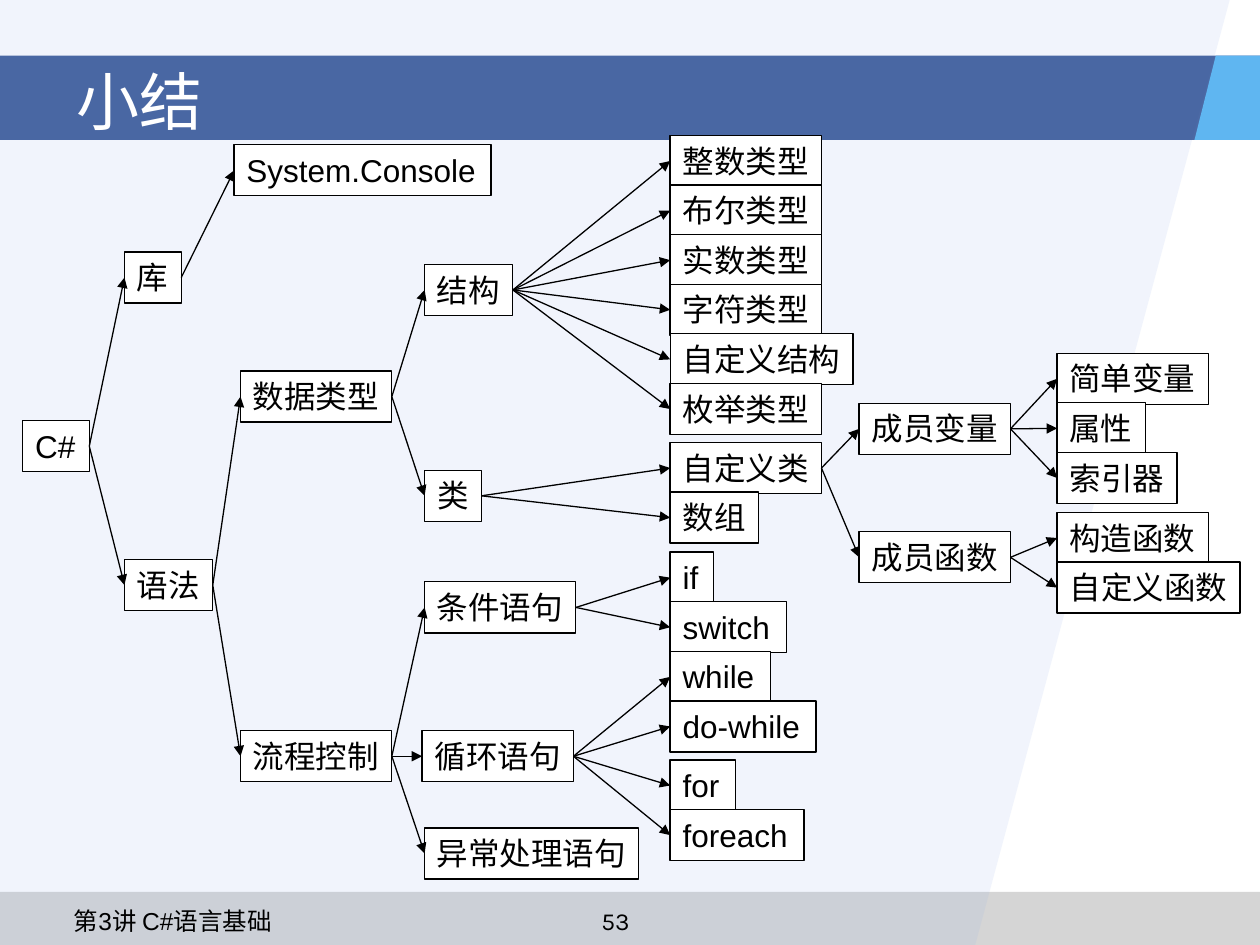
from dataclasses import dataclass

from lxml import etree
from pptx import Presentation
from pptx.dml.color import RGBColor
from pptx.enum.shapes import MSO_CONNECTOR, MSO_SHAPE
from pptx.enum.text import MSO_ANCHOR, MSO_AUTO_SIZE, PP_ALIGN
from pptx.oxml.ns import qn
from pptx.util import Cm, Pt

RECT = MSO_SHAPE.RECTANGLE
STRAIGHT = MSO_CONNECTOR.STRAIGHT
TOP, MIDDLE = MSO_ANCHOR.TOP, MSO_ANCHOR.MIDDLE
LEFT, CENTER = PP_ALIGN.LEFT, PP_ALIGN.CENTER
GROW = MSO_AUTO_SIZE.SHAPE_TO_FIT_TEXT

BLACK, WHITE = "000000", "FFFFFF"
SLIDE_W, SLIDE_H = 25.4, 19.05
BAND_TOP, BAND_BOTTOM = 1.12, 2.82
BOX_H, ROW = 1.03, 1.0
LEFT_SITE, RIGHT_SITE = 1, 3
LEAF_X, MEMBER_X, DETAIL_X = 13.51, 17.32, 21.31


@dataclass
class Topic:
    text: str
    left: float
    top: float
    width: float = 0
    children: tuple = ()

    def box_width(self) -> float:
        """Chinese labels are as wide as their 18 pt characters plus insets."""
        return self.width or 0.51 + 0.635 * len(self.text)


def stack(left: float, top: float, *labels: str) -> tuple:
    """Topics one below the other, without children."""
    return tuple(Topic(label, left, top + i * ROW, LATIN_WIDTHS.get(label, 0))
                 for i, label in enumerate(labels))


def color(hex_code: str) -> RGBColor:
    return RGBColor.from_string(hex_code)


def paint(shape, fill: str, opacity: int = 100) -> None:
    shape.shadow.inherit = False
    shape.fill.solid()
    shape.fill.fore_color.rgb = color(fill)
    shape.line.fill.background()
    if opacity < 100:
        rgb = shape.fill._xPr.find(qn("a:solidFill"))[0]
        etree.SubElement(rgb, qn("a:alpha"), val=str(opacity * 1000))


def add_band(shapes, top: float, height: float, fill: str, opacity: int) -> None:
    band = shapes.add_shape(RECT, Cm(0), Cm(top), Cm(SLIDE_W), Cm(height))
    paint(band, fill, opacity)


def add_outline(shapes, points: list, fill: str, opacity: int = 100) -> None:
    corners = [(Cm(x), Cm(y)) for x, y in points]
    builder = shapes.build_freeform(*corners[0])
    builder.add_line_segments(corners[1:], close=True)
    paint(builder.convert_to_shape(), fill, opacity)


def write(shape, text: str, size: int, font: str, ink: str = BLACK,
          align=LEFT, anchor=TOP, wrap: bool = True) -> None:
    frame = shape.text_frame
    frame.text = text
    frame.word_wrap = wrap
    frame.vertical_anchor = anchor
    paragraph = frame.paragraphs[0]
    paragraph.alignment = align
    run_font = paragraph.runs[0].font
    run_font.size = Pt(size)
    run_font.name = font
    run_font.color.rgb = color(ink)


def add_label(shapes, left: float, top: float, width: float, height: float,
              text: str, size: int, font: str, **style) -> None:
    label = shapes.add_textbox(Cm(left), Cm(top), Cm(width), Cm(height))
    write(label, text, size, font, **style)


def add_arrow(shapes, parent, child) -> None:
    arrow = shapes.add_connector(STRAIGHT, 0, 0, 0, 0)
    arrow.begin_connect(parent, RIGHT_SITE)
    arrow.end_connect(child, LEFT_SITE)
    arrow.line.color.rgb = color(BLACK)
    arrow.line.width = Pt(0.75)
    etree.SubElement(arrow.line._get_or_add_ln(), qn("a:tailEnd"), type="triangle")
    etree.SubElement(arrow._element.spPr, qn("a:effectLst"))


def add_topic(shapes, topic: Topic):
    """Draw a topic, everything below it, and the arrows between."""
    box = shapes.add_shape(RECT, Cm(topic.left), Cm(topic.top),
                           Cm(topic.box_width()), Cm(BOX_H))
    paint(box, WHITE)
    box.line.color.rgb = color(BLACK)
    box.line.width = Pt(0.75)
    write(box, topic.text, 18, "Arial", wrap=False)
    box.text_frame.auto_size = GROW
    for child in topic.children:
        add_arrow(shapes, box, add_topic(shapes, child))
    return box


# Content of the tree; Latin labels get a little room to spare
LATIN_WIDTHS = {"if": 0.88, "switch": 2.34, "while": 2.02, "do-while": 2.94,
                "for": 1.32, "foreach": 2.7}

members = (
    Topic("成员变量", MEMBER_X, 8.13,
          children=stack(DETAIL_X, 7.12, "简单变量", "属性", "索引器")),
    Topic("成员函数", MEMBER_X, 10.72,
          children=stack(DETAIL_X, 10.33, "构造函数", "自定义函数")),
)
custom_class, array = stack(LEAF_X, 8.92, "自定义类", "数组")
custom_class.children = members

data_types = Topic("数据类型", 4.85, 7.48, children=(
    Topic("结构", 8.56, 5.33, children=stack(
        LEAF_X, 2.73, "整数类型", "布尔类型", "实数类型",
        "字符类型", "自定义结构", "枚举类型")),
    Topic("类", 8.56, 9.48, children=(custom_class, array)),
))
control_flow = Topic("流程控制", 4.85, 14.73, children=(
    Topic("条件语句", 8.56, 11.73, children=stack(LEAF_X, 11.13, "if", "switch")),
    Topic("循环语句", 8.51, 14.73,
          children=stack(LEAF_X, 13.13, "while", "do-while")
          + stack(LEAF_X, 15.32, "for", "foreach")),
    Topic("异常处理语句", 8.56, 16.69),
))
root = Topic("C#", 0.46, 8.48, 1.34, (
    Topic("库", 2.51, 5.08, children=(
        Topic("System.Console", 4.72, 2.92, 5.18),)),
    Topic("语法", 2.51, 11.28, children=(data_types, control_flow)),
))


def main() -> None:
    deck = Presentation()
    deck.slide_width, deck.slide_height = Cm(SLIDE_W), Cm(SLIDE_H)
    shapes = deck.slides.add_slide(deck.slide_layouts[6]).shapes

    # Background bands and slanted panels
    add_band(shapes, 17.98, 1.07, "969696", 40)
    add_outline(shapes, [(0, 0), (24.79, 0), (19.66, SLIDE_H), (0, SLIDE_H)],
                "94B1EC", 13)
    add_band(shapes, BAND_TOP, BAND_BOTTOM - BAND_TOP, "173D89", 77)
    add_outline(shapes, [(24.51, BAND_TOP), (24.08, BAND_BOTTOM),
                         (SLIDE_W, BAND_BOTTOM), (SLIDE_W, BAND_TOP)], "5FB6F1")

    # Footer and title
    add_label(shapes, 10.72, 18.14, 3.38, 0.64, "53", 14, "Karla", align=CENTER)
    add_label(shapes, 1.24, 18.14, 9.04, 0.61, "第3讲 C#语言基础", 14, "Arial")
    add_label(shapes, 1.3, 0.91, 22.86, 2.21, "小结", 36, "Karla",
              ink=WHITE, anchor=MIDDLE)

    # Topic tree
    add_topic(shapes, root)
    deck.save("out.pptx")


if __name__ == "__main__":
    main()
